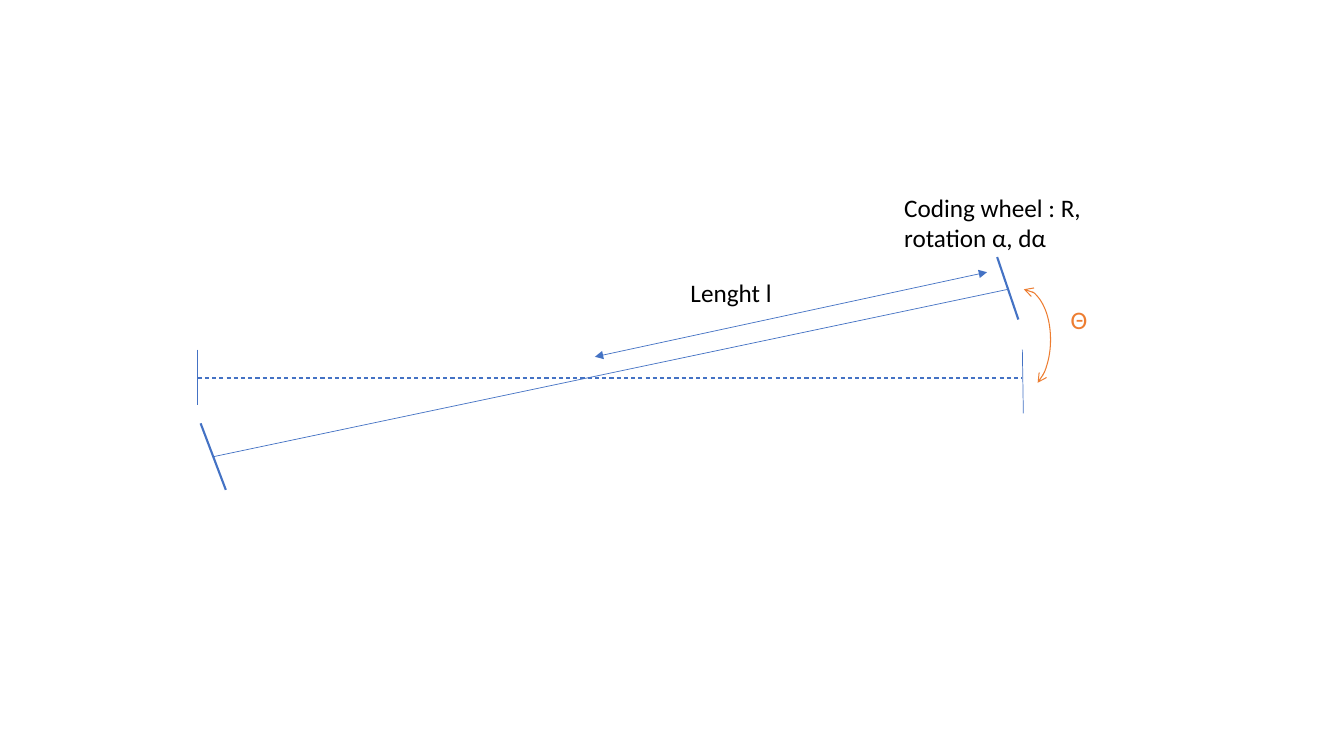
import pptx
import pptx.util
import pptx.dml.color
import pptx.enum.dml
import pptx.enum.shapes
import pptx.oxml
import pptx.oxml.ns

Inches = pptx.util.Inches
Pt = pptx.util.Pt
RGBColor = pptx.dml.color.RGBColor
BLUE = RGBColor(0x44, 0x72, 0xC4)
ORANGE = RGBColor(0xED, 0x7D, 0x31)
BLACK = RGBColor(0, 0, 0)
FONT = "Calibri"


def add_heads(shape, kind):
    """Put an arrowhead of the given kind on both ends of a shape's line."""
    ln = shape._element.spPr.get_or_add_ln()
    for end in ("a:headEnd", "a:tailEnd"):
        tip = pptx.oxml.parse_xml(f"<{end} {pptx.oxml.ns.nsdecls('a')}/>")
        tip.set("type", kind)
        ln.append(tip)


def add_line(slide, box, start, end, width=0.5):
    """Draw a plain blue line between two points of the box."""
    left, top = box
    link = slide.shapes.add_connector(
        pptx.enum.shapes.MSO_CONNECTOR.STRAIGHT,
        Inches(left + start[0]), Inches(top + start[1]),
        Inches(left + end[0]), Inches(top + end[1]))
    link.line.color.rgb = BLUE
    link.line.width = Pt(width)
    link._element.spPr.append(
        pptx.oxml.parse_xml(f"<a:effectLst {pptx.oxml.ns.nsdecls('a')}/>"))
    return link


def add_label(slide, box, place, text, color=BLACK):
    """Write an 18 point label at a place in the box."""
    x, y, width, height = place
    label = slide.shapes.add_textbox(
        Inches(box[0] + x), Inches(box[1] + y), Inches(width), Inches(height))
    frame = label.text_frame
    frame.word_wrap = True
    frame.text = text
    font = frame.paragraphs[0].runs[0].font
    font.name = FONT
    font.size = Pt(18)
    font.color.rgb = color


def add_axle(slide, box):
    """Draw the dashed resting axle with its end ticks."""
    axle = add_line(slide, box, (0, 1.89), (8.18, 1.89), 0.75)
    axle.line.dash_style = pptx.enum.dml.MSO_LINE.DASH
    add_line(slide, box, (0, 1.61), (0, 2.16))
    add_line(slide, box, (8.18, 1.61), (8.19, 2.24))


def add_arm(slide, box):
    """Draw the turned axle, its two wheels and its length."""
    add_line(slide, box, (0.16, 2.67), (8.04, 1.01))
    add_line(slide, box, (7.93, 0.69), (8.14, 1.31), 1.5)
    add_line(slide, box, (0.03, 2.34), (0.28, 3), 1.5)
    add_heads(add_line(slide, box, (3.94, 1.68), (7.83, 0.84)), "triangle")
    add_label(slide, box, (4.79, 0.84, 2.12, 0.4), "Lenght l")
    add_label(slide, box, (6.91, 0, 2.24, 0.71),
              "Coding wheel : R, rotation α, dα")


def add_angle(slide, box):
    """Draw the angle between both axles and its name."""
    arc = slide.shapes.add_shape(
        pptx.enum.shapes.MSO_SHAPE.ARC,
        Inches(box[0] + 7.93), Inches(box[1] + 1.01), Inches(0.53), Inches(1))
    arc.adjustments[0] = 162
    arc.adjustments[1] = 43.31
    arc.shadow.inherit = False
    arc.fill.background()
    arc.line.color.rgb = ORANGE
    arc.line.width = Pt(0.75)
    add_heads(arc, "arrow")
    add_label(slide, box, (8.56, 1.11, 1.02, 0.4), "Θ", ORANGE)


deck = pptx.Presentation()
deck.slide_width = Inches(13.33)
deck.slide_height = Inches(7.5)
page = deck.slides.add_slide(deck.slide_layouts[6])
sketch = (1.96, 1.86)
for draw in (add_axle, add_arm, add_angle):
    draw(page, sketch)
deck.save("out.pptx")
